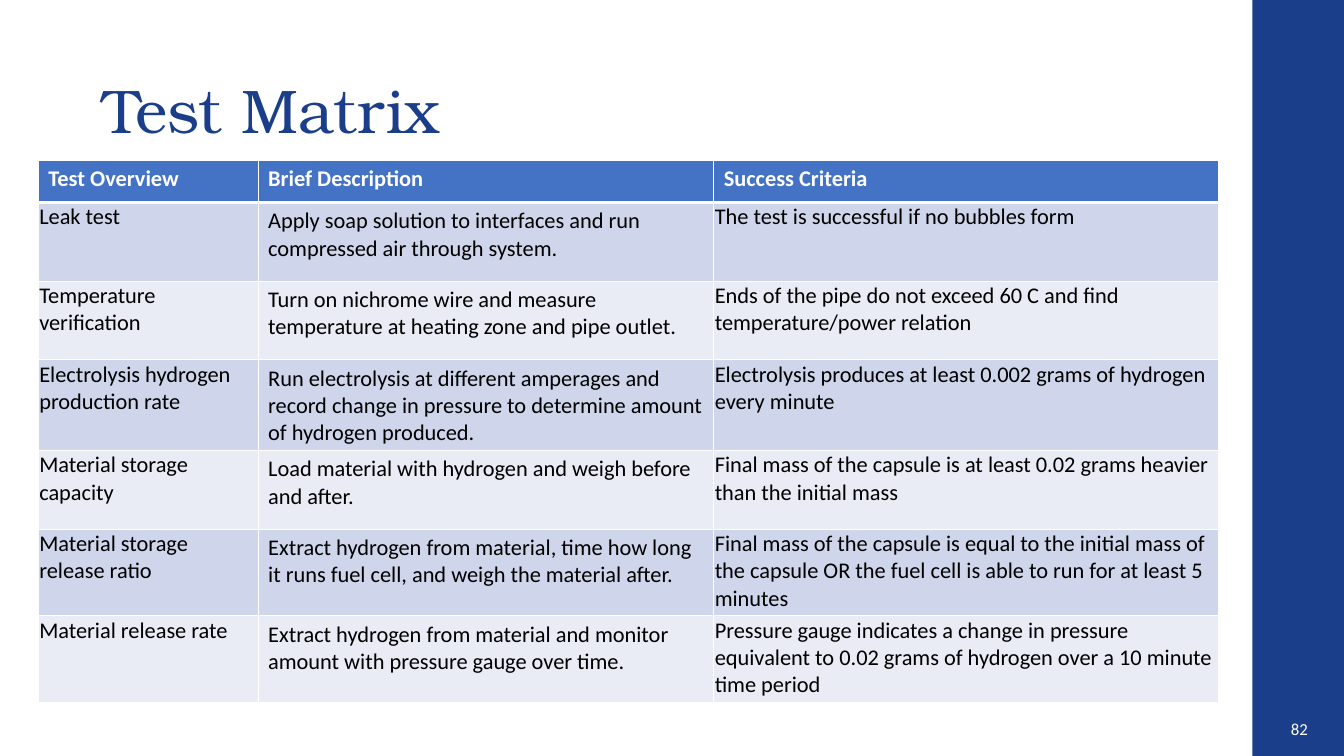
from lxml import etree
from pptx import Presentation, util as u
from pptx.dml.color import RGBColor
from pptx.enum import shapes, text
from pptx.oxml.ns import qn

NAVY, WHITE, BLACK = "1B3E8A", "FFFFFF", "000000"
HEADER_FILL, BAND_FILLS = "4472C4", ("CFD5EA", "E9EBF5")
COLUMN_WIDTHS = (2.18, 4.52, 5.01)
ROW_HEIGHTS = (0.42, 0.78, 0.78, 0.78, 0.78, 0.78, 0.81)
TESTS = (
    ("Test Overview", "Brief Description", "Success Criteria"),
    ("Leak test",
     "Apply soap solution to interfaces and run compressed air through system.",
     "The test is successful if no bubbles form"),
    ("Temperature verification",
     "Turn on nichrome wire and measure temperature at heating zone and pipe outlet.",
     "Ends of the pipe do not exceed 60 C and find temperature/power relation"),
    ("Electrolysis hydrogen production rate",
     "Run electrolysis at different amperages and record change in pressure "
     "to determine amount of hydrogen produced.",
     "Electrolysis produces at least 0.002 grams of hydrogen every minute"),
    ("Material storage capacity",
     "Load material with hydrogen and weigh before and after.",
     "Final mass of the capsule is at least 0.02 grams heavier than the initial mass"),
    ("Material storage release ratio",
     "Extract hydrogen from material, time how long it runs fuel cell, "
     "and weigh the material after.",
     "Final mass of the capsule is equal to the initial mass of the capsule "
     "OR the fuel cell is able to run for at least 5 minutes"),
    ("Material release rate",
     "Extract hydrogen from material and monitor amount with pressure gauge over time.",
     "Pressure gauge indicates a change in pressure equivalent to 0.02 grams "
     "of hydrogen over a 10 minute time period"),
)


def color(value):
    """Turn a hex string into a colour."""
    return RGBColor.from_string(value)


def set_font(para, size, hue, name="Calibri", bold=False):
    """Set the font of a paragraph."""
    font = para.font
    font.size, font.name, font.bold = u.Pt(size), name, bold
    font.color.rgb = color(hue)


def add_band(page, left, top, width, height, hue):
    """Add a plain filled rectangle."""
    band = page.shapes.add_shape(shapes.MSO_SHAPE.RECTANGLE, *map(u.Inches, (left, top, width, height)))
    band.shadow.inherit = False
    band.fill.solid()
    band.fill.fore_color.rgb = color(hue)
    band.line.fill.background()


def add_label(page, left, top, width, height, words):
    """Add a vertically centred text box and return its paragraph."""
    box = page.shapes.add_textbox(*map(u.Inches, (left, top, width, height)))
    frame = box.text_frame
    frame.word_wrap = True
    frame.vertical_anchor = text.MSO_ANCHOR.MIDDLE
    para = frame.paragraphs[0]
    para.text = words
    return para


def set_borders(cell, top, bottom):
    """Draw white cell borders with the given top and bottom widths."""
    properties = cell._tc.get_or_add_tcPr()
    for side, width in (("L", 1), ("R", 1), ("T", top), ("B", bottom)):
        line = etree.SubElement(properties, qn(f"a:ln{side}"), w=str(u.Pt(width)))
        fill = etree.SubElement(line, qn("a:solidFill"))
        etree.SubElement(fill, qn("a:srgbClr"), val=WHITE)


def fill_cell(cell, words, row, column):
    """Write and style one table cell."""
    header = row == 0
    set_borders(cell, 3 if row == 1 else 1, 3 if header else 1)
    cell.fill.solid()
    cell.fill.fore_color.rgb = color(HEADER_FILL if header else BAND_FILLS[(row - 1) % 2])
    if not header and column != 1:
        cell.margin_left = cell.margin_top = cell.margin_right = u.Inches(0.01)
    cell.text = words
    set_font(cell.text_frame.paragraphs[0], 16, WHITE if header else BLACK, bold=header)


def add_matrix(page, left, top):
    """Add the table of tests."""
    table = page.shapes.add_table(
        len(TESTS), len(COLUMN_WIDTHS), u.Inches(left), u.Inches(top),
        u.Inches(sum(COLUMN_WIDTHS)), u.Inches(sum(ROW_HEIGHTS))).table
    for column, width in zip(table.columns, COLUMN_WIDTHS):
        column.width = u.Inches(width)
    for index, (row, height) in enumerate(zip(table.rows, ROW_HEIGHTS)):
        row.height = u.Inches(height)
        for column, words in enumerate(TESTS[index]):
            fill_cell(table.cell(index, column), words, index, column)


def main():
    """Build the slide and save it."""
    deck = Presentation()
    deck.slide_width, deck.slide_height = u.Inches(13.33), u.Inches(7.5)
    page = deck.slides.add_slide(deck.slide_layouts[6])
    add_band(page, 12.42, 0, 0.91, 7.5, NAVY)
    number = add_label(page, 12.66, 7.03, 0.41, 0.4, "82")
    number.alignment = text.PP_ALIGN.RIGHT
    set_font(number, 12, WHITE)
    title = add_label(page, 0.92, 0.4, 11.5, 1.45, "Test Matrix")
    title.line_spacing = 0.9
    set_font(title, 44, NAVY, "TeX Gyre Bonum")
    add_matrix(page, 0.38, 1.59)
    deck.save("out.pptx")


if __name__ == "__main__":
    main()
